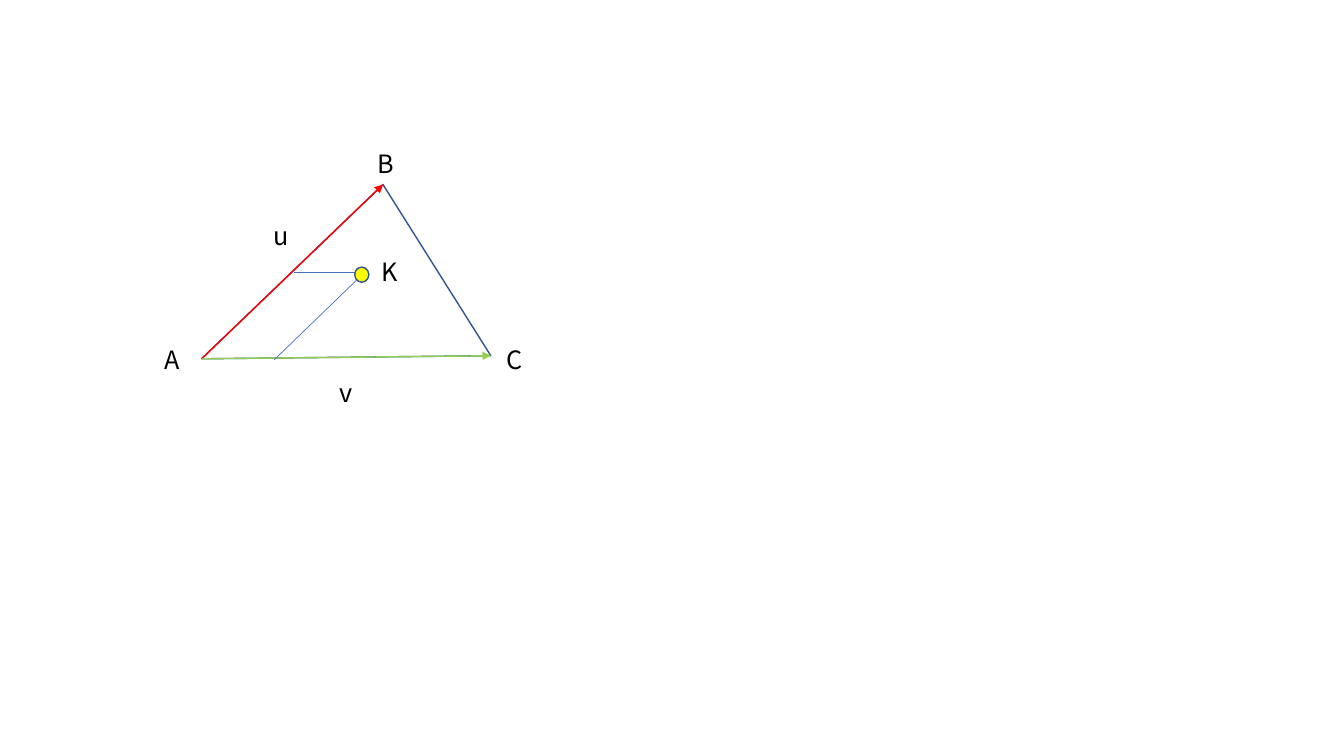
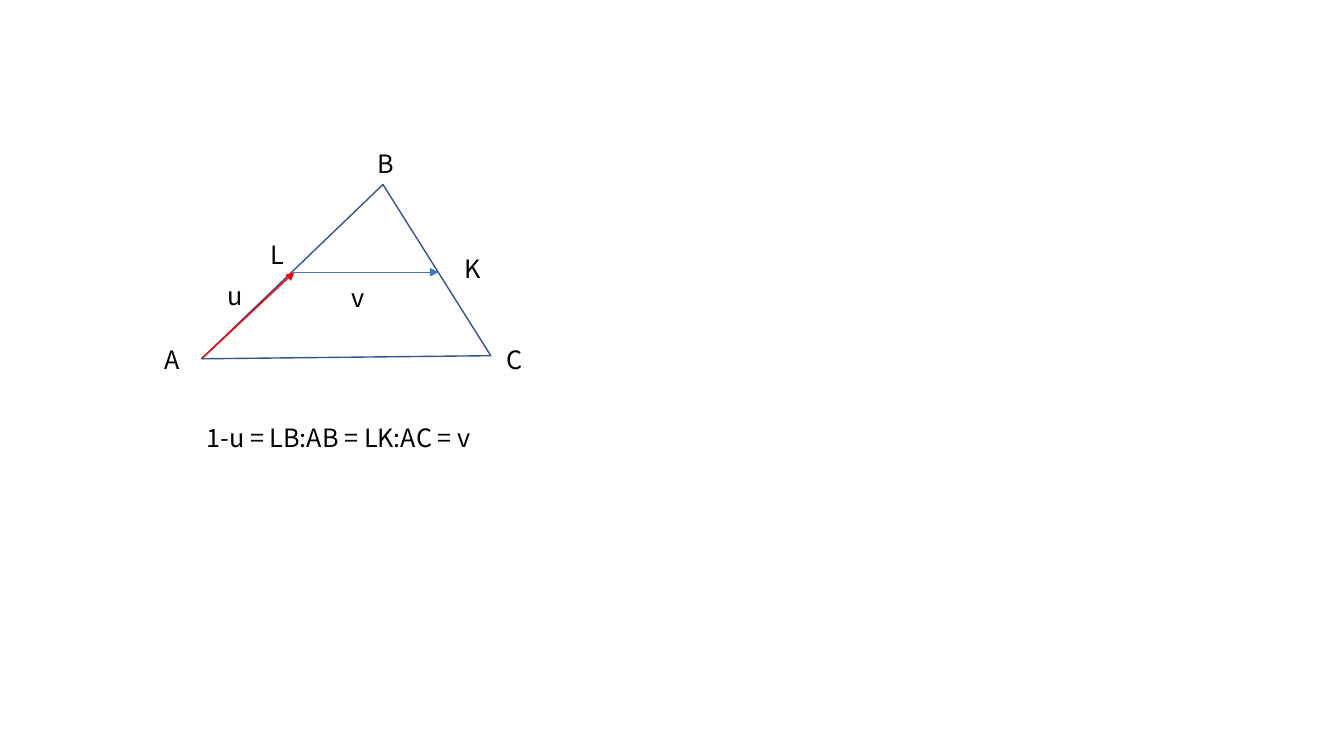
from collections import namedtuple

from lxml import etree
from pptx import Presentation
from pptx.dml.color import RGBColor
from pptx.enum.shapes import MSO_CONNECTOR, MSO_SHAPE
from pptx.enum.text import MSO_AUTO_SIZE
from pptx.oxml.ns import qn
from pptx.util import Pt

LINE = MSO_CONNECTOR.STRAIGHT
OVAL = MSO_SHAPE.OVAL
FIT_TEXT = MSO_AUTO_SIZE.SHAPE_TO_FIT_TEXT

NAVY = RGBColor(0x32, 0x54, 0x91)
BLUE = RGBColor(0x44, 0x72, 0xC4)
RED = RGBColor(0xFF, 0x00, 0x00)
GREEN = RGBColor(0x92, 0xD0, 0x50)
YELLOW = RGBColor(0xFF, 0xFF, 0x00)
BLACK = RGBColor(0x00, 0x00, 0x00)
FONT = "Noto Sans CJK SC"
LABEL_H = 29
LABEL_W = {"A": 25.9, "C": 25.9, "v": 23, "L": 23}

Box = namedtuple("Box", "x y w h")
DIAGRAM = Box(144, 131.8, 206.6, 124.5)


def at(box, point):
    """Turn a point measured from the box corner into slide lengths."""
    return Pt(box.x + point[0]), Pt(box.y + point[1])


def corners(box):
    return (0, box.h), (129.6, 0), (box.w, box.h - 2.2)


def outline(sp, color=NAVY, width=1):
    sp.line.color.rgb = color
    sp.line.width = Pt(width)


def add_arrow(s, box, start, end, color, width=1):
    cn = s.shapes.add_connector(LINE, *at(box, start), *at(box, end))
    outline(cn, color, width)
    etree.SubElement(cn.line._get_or_add_ln(), qn("a:tailEnd"), type="triangle")
    etree.SubElement(cn._element.spPr, qn("a:effectLst"))


def add_label(s, box, text, point, width=None):
    width = width or LABEL_W.get(text, 24.5)
    sp = s.shapes.add_textbox(*at(box, point), Pt(width), Pt(LABEL_H))
    tf = sp.text_frame
    tf.word_wrap = False
    tf.auto_size = FIT_TEXT
    r = tf.paragraphs[0].add_run()
    r.text = text
    r.font.name = FONT
    r.font.size = Pt(18)
    r.font.color.rgb = BLACK


def add_triangle(s, box):
    """Outline of ABC with its three corner labels."""
    a, b, c = corners(box)
    fb = s.shapes.build_freeform(*at(box, b), scale=1.0)
    fb.add_line_segments([at(box, c), at(box, a)], close=True)
    sp = fb.convert_to_shape()
    sp.shadow.inherit = False
    sp.fill.background()
    outline(sp)
    for text, point in (("A", (-33.8, 110.9)), ("B", (118.8, -29.5)),
                        ("C", (211, 110.9))):
        add_label(s, box, text, point)


def inner_point_slide(s, box):
    a, b, c = corners(box)
    k = (116.6, 62.6)
    add_triangle(s, box)

    # Side vectors u and v, then the parallels that meet at K
    add_arrow(s, box, a, b, RED)
    add_arrow(s, box, a, c, GREEN)
    for foot in ((66.2, k[1]), (51.8, 125.3)):
        add_arrow(s, box, foot, k, BLUE, 0.5)

    # Dot at K
    dot = s.shapes.add_shape(OVAL, *at(box, (109.4, 59)), Pt(10.1), Pt(10.8))
    dot.shadow.inherit = False
    dot.fill.solid()
    dot.fill.fore_color.rgb = YELLOW
    outline(dot)

    for text, point in (("K", (121.7, 47.5)), ("v", (91.4, 133.9)),
                        ("u", (44.6, 22.3))):
        add_label(s, box, text, point)


def edge_point_slide(s, box):
    a = corners(box)[0]
    l_point, k = (66.2, 62.6), (169.2, 62.6)
    add_triangle(s, box)

    # Path from A through L to K
    add_arrow(s, box, a, l_point, RED)
    add_arrow(s, box, l_point, k, BLUE, 0.5)

    for text, point in (("v", (100.1, 66.2)), ("u", (11.5, 64.8)),
                        ("K", (180.7, 45.4)), ("L", (41.8, 35.3))):
        add_label(s, box, text, point)

    # Ratio below the triangle
    add_label(s, box, "1-u = LB:AB = LK:AC = v", (-3.6, 166.3), 207.4)


prs = Presentation()
prs.slide_width, prs.slide_height = Pt(960), Pt(540)
blank = prs.slide_layouts[6]
for build in (inner_point_slide, edge_point_slide):
    build(prs.slides.add_slide(blank), DIAGRAM)
prs.save("out.pptx")
